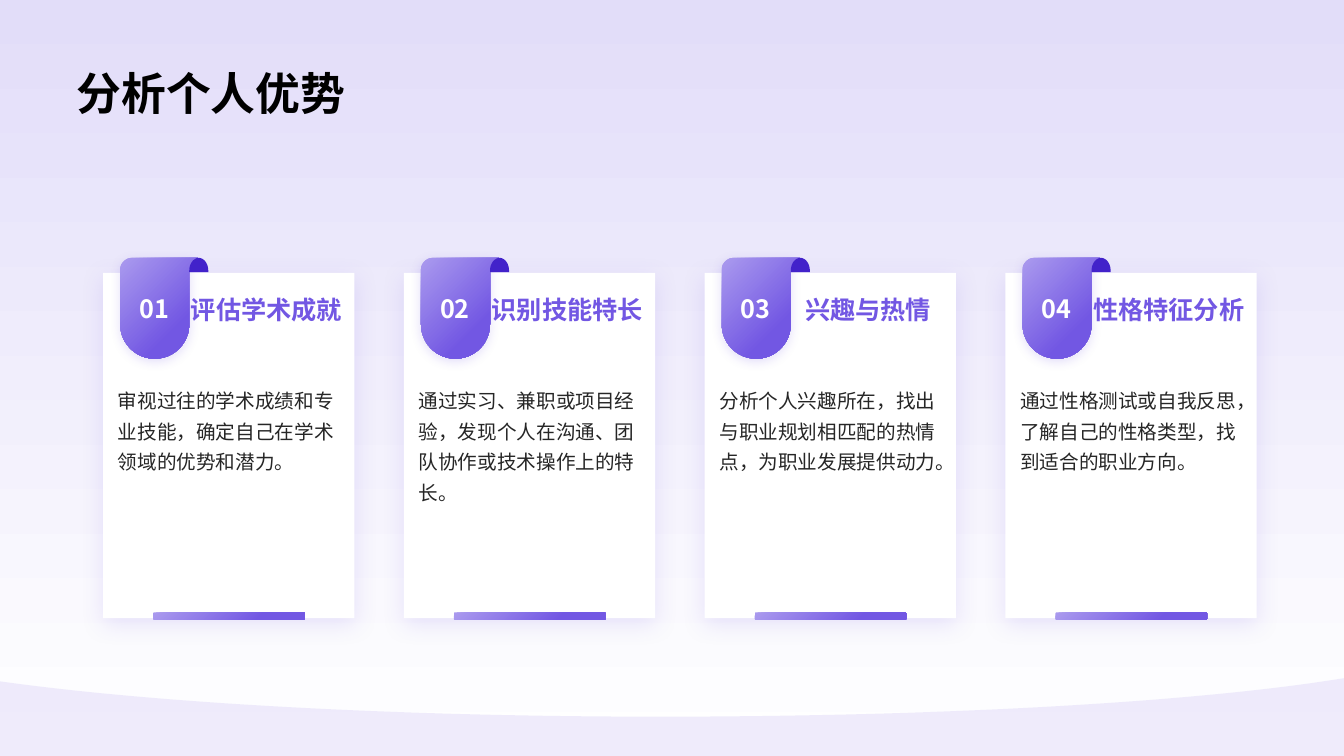
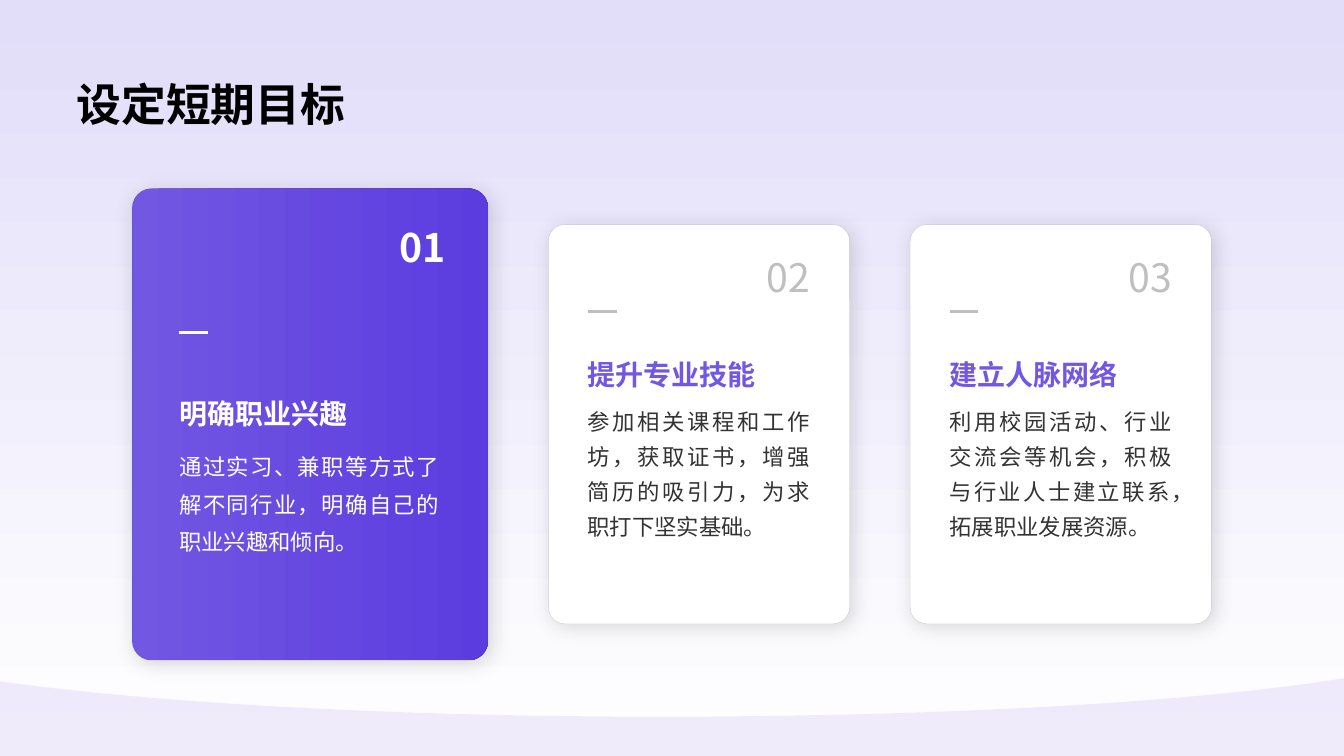
import math
from dataclasses import dataclass

from lxml import etree
from pptx import Presentation
from pptx import util as u
from pptx.dml.color import RGBColor
from pptx.enum import shapes, text
from pptx.oxml.ns import qn

Point = tuple[float, float]
Stops = tuple[tuple[str, float], tuple[str, float]]


@dataclass(frozen=True)
class Shadow:
    color: str
    opacity: int
    blur: float
    distance: float
    angle: int


@dataclass(frozen=True)
class Theme:
    font: str = "Noto Sans CJK SC"
    black: str = "000000"
    white: str = "FFFFFF"
    violet: str = "7257E3"
    curl: str = "4222CA"
    wave: str = "E3DDF9"
    gray: str = "BFBFBF"
    strength_text: str = "262626"
    goal_text: str = "333333"
    backdrop: Stops = (("FFFFFF", 0), ("E2DDF9", 1))
    ribbon: Stops = (("AA9AEE", 0), ("7257E3", 0.71))
    highlight: Stops = (("7257E3", 0), ("5B3CDF", 1))
    strength_shadow: Shadow = Shadow("7257E3", 15, 17, 4, 90)
    ribbon_shadow: Shadow = Shadow("7257E3", 20, 8, 2, 90)
    goal_shadow: Shadow = Shadow("000000", 15, 15, 3, 45)
    title_size: int = 32
    number_size: int = 28
    goal_heading_size: int = 20
    strength_heading_size: int = 18
    goal_size: int = 16
    strength_size: int = 14


@dataclass(frozen=True)
class Box:
    left: float
    top: float
    width: float
    height: float

    def lengths(self) -> tuple[u.Length, ...]:
        return tuple(u.Cm(v) for v in (self.left, self.top, self.width, self.height))


@dataclass(frozen=True)
class TextStyle:
    size: int
    color: str
    bold: bool = False
    align: text.PP_ALIGN = text.PP_ALIGN.LEFT
    anchor: text.MSO_ANCHOR = text.MSO_ANCHOR.TOP
    spacing: float | None = None
    wrap: bool = True


@dataclass(frozen=True)
class Item:
    heading: str
    body: str


@dataclass(frozen=True)
class GoalLayout:
    card: Box
    number: Box
    dash_top: float
    heading: Box
    body: Box
    spacing: float
    number_color: str
    heading_color: str
    body_color: str
    highlighted: bool = False


THEME = Theme()
WIDTH, HEIGHT = 33.87, 19.05
STRENGTH_LEFT, STRENGTH_PITCH = 2.6, 7.58
GOAL_PITCH = 9.12
DASH_LENGTH = 0.73

STRENGTHS = (
    Item("评估学术成就", "审视过往的学术成绩和专业技能，确定自己在学术领域的优势和潜力。"),
    Item("识别技能特长", "通过实习、兼职或项目经验，发现个人在沟通、团队协作或技术操作上的特长。"),
    Item("兴趣与热情", "分析个人兴趣所在，找出与职业规划相匹配的热情点，为职业发展提供动力。"),
    Item("性格特征分析", "通过性格测试或自我反思，了解自己的性格类型，找到适合的职业方向。"),
)
GOALS = (
    Item("明确职业兴趣", "通过实习、兼职等方式了解不同行业，明确自己的职业兴趣和倾向。"),
    Item("提升专业技能", "参加相关课程和工作坊，获取证书，增强简历的吸引力，为求职打下坚实基础。"),
    Item("建立人脉网络", "利用校园活动、行业交流会等机会，积极与行业人士建立联系，拓展职业发展资源。"),
)


def main_goal() -> GoalLayout:
    return GoalLayout(
        Box(3.33, 4.75, 8.97, 11.89), Box(8.97, 5.64, 2.26, 1.73), 8.38,
        Box(4.52, 8.61, 6.55, 2.24), Box(4.52, 11.15, 6.55, 4.95), 1.4,
        THEME.white, THEME.white, THEME.white, True)


def side_goal(position: int) -> GoalLayout:
    left = 13.82 + position * GOAL_PITCH
    return GoalLayout(
        Box(left, 5.66, 7.59, 10.06), Box(left + 4.34, 6.38, 2.26, 1.5), 7.85,
        Box(left + 0.99, 8.43, 5.61, 1.42), Box(left + 0.99, 10.08, 5.61, 5.23), 1.3,
        THEME.gray, THEME.violet, THEME.goal_text)


def rgb(color: str) -> RGBColor:
    return RGBColor.from_string(color)


def set_opacity(parent, percent: int) -> None:
    for color in parent.iter(qn("a:srgbClr")):
        etree.SubElement(color, qn("a:alpha"), val=str(percent * 1000))


def set_gradient(fill, stops: Stops, clockwise: int) -> None:
    fill.gradient()
    fill.gradient_angle = (360 - clockwise) % 360
    for stop, (color, position) in zip(fill.gradient_stops, stops):
        stop.color.rgb = rgb(color)
        stop.position = position


def paint(shape, fill: str | Stops, clockwise: int = 45, shadow: Shadow | None = None) -> None:
    if isinstance(fill, str):
        shape.fill.solid()
        shape.fill.fore_color.rgb = rgb(fill)
    else:
        set_gradient(shape.fill, fill, clockwise)
    shape.line.fill.background()
    shape.shadow.inherit = False
    if shadow:
        effects = shape._element.spPr.find(qn("a:effectLst"))
        outer = etree.SubElement(
            effects, qn("a:outerShdw"), blurRad=str(u.Pt(shadow.blur)),
            dist=str(u.Pt(shadow.distance)), dir=str(shadow.angle * 60000),
            algn="ctr", rotWithShape="0")
        etree.SubElement(outer, qn("a:srgbClr"), val=shadow.color)
        set_opacity(outer, shadow.opacity)


def write(shape, content: str, style: TextStyle, margins: Point = (0, 0)) -> None:
    frame = shape.text_frame
    frame.text = content
    frame.auto_size = text.MSO_AUTO_SIZE.NONE
    frame.word_wrap = style.wrap
    frame.vertical_anchor = style.anchor
    frame.margin_left, frame.margin_right = (u.Cm(margin) for margin in margins)
    frame.margin_top = frame.margin_bottom = 0
    paragraph = frame.paragraphs[0]
    paragraph.alignment = style.align
    paragraph.line_spacing = style.spacing
    for run in paragraph.runs:
        run.font.name = THEME.font
        run.font.size = u.Pt(style.size)
        run.font.bold = style.bold
        run.font.color.rgb = rgb(style.color)
        latin = run.font._element.find(qn("a:latin"))
        latin.addnext(latin.makeelement(qn("a:ea"), {"typeface": THEME.font}))


def add_text(slide, box: Box, content: str, style: TextStyle) -> None:
    write(slide.shapes.add_textbox(*box.lengths()), content, style)


def add_box(slide, kind: shapes.MSO_SHAPE, box: Box):
    return slide.shapes.add_shape(kind, *box.lengths())


def add_outline(slide, points: list[Point], left: float = 0, top: float = 0):
    placed = [(u.Cm(left + x), u.Cm(top + y)) for x, y in points]
    builder = slide.shapes.build_freeform(*placed[0], scale=1.0)
    builder.add_line_segments(placed[1:], close=True)
    return builder.convert_to_shape()


def arc(center: Point, radii: Point, start: int, end: int, steps: int = 24) -> list[Point]:
    angles = (math.radians(start + (end - start) * i / steps) for i in range(steps + 1))
    return [(center[0] + radii[0] * math.cos(a), center[1] + radii[1] * math.sin(a))
            for a in angles]


def bezier(a: Point, b: Point, c: Point, d: Point, steps: int = 40) -> list[Point]:
    points = []
    for i in range(steps + 1):
        t = i / steps
        weights = ((1 - t) ** 3, 3 * t * (1 - t) ** 2, 3 * t * t * (1 - t), t ** 3)
        points.append(tuple(sum(w * p[axis] for w, p in zip(weights, (a, b, c, d)))
                            for axis in (0, 1)))
    return points


def add_slide(presentation, title: str, top: float, height: float):
    slide = presentation.slides.add_slide(presentation.slide_layouts[5])
    shape = slide.shapes.title
    shape.left, shape.top, shape.width, shape.height = Box(1.93, top, 30, height).lengths()
    write(shape, title, TextStyle(THEME.title_size, THEME.black, True,
                                  anchor=text.MSO_ANCHOR.BOTTOM))
    return slide


def decorate_master(presentation, slide) -> None:
    master = presentation.slide_master
    set_gradient(master.background.fill, THEME.backdrop, 270)
    crest = (16.64, 18.06)
    curve = bezier((0, 17.17), (3.76, 17.7), (9.8, 18.06), crest)
    curve += bezier(crest, (23.9, 18.06), (30.28, 17.68), (WIDTH, 17.09))
    wave = add_outline(slide, curve + [(WIDTH, HEIGHT), (0, HEIGHT)])
    paint(wave, THEME.wave)
    set_opacity(wave._element.spPr.find(qn("a:solidFill")), 57)
    wave._element.nvSpPr.cNvPr.set("id", "99")
    master.shapes._spTree.insert(2, wave._element)


def add_ribbon(slide, left: float, top: float, number: str) -> None:
    band = arc((0.3, 0.3), (0.3, 0.3), 180, 270)
    band += arc((1.96, 0.3), (0.22, 0.3), 270, 180)
    band += arc((0.87, 1.67), (0.87, 0.87), 0, 180)
    ribbon = add_outline(slide, band, left, top)
    paint(ribbon, THEME.ribbon, shadow=THEME.ribbon_shadow)
    write(ribbon, number,
          TextStyle(THEME.strength_heading_size, THEME.white, True, text.PP_ALIGN.CENTER,
                    text.MSO_ANCHOR.MIDDLE, wrap=False), (0.25, 0.5))
    curl = arc((1.98, 0.32), (0.24, 0.32), 180, 360) + [(2.22, 0.36), (1.74, 0.36)]
    paint(add_outline(slide, curl, left, top), THEME.curl)


def add_strength(slide, index: int, item: Item) -> None:
    left = STRENGTH_LEFT + index * STRENGTH_PITCH
    card = add_box(slide, shapes.MSO_SHAPE.RECTANGLE, Box(left, 6.88, 6.33, 8.7))
    paint(card, THEME.white, shadow=THEME.strength_shadow)
    add_ribbon(slide, left + 0.43, 6.5, f"{index + 1:02}")
    bar = add_box(slide, shapes.MSO_SHAPE.ROUNDED_RECTANGLE, Box(left + 1.26, 15.43, 3.82, 0.19))
    paint(bar, THEME.ribbon)
    add_text(slide, Box(left + 2.17, 7.42, 3.89, 2.08), item.heading,
             TextStyle(THEME.strength_heading_size, THEME.violet, True, text.PP_ALIGN.CENTER))
    add_text(slide, Box(left + 0.37, 9.63, 5.56, 5.28), item.body,
             TextStyle(THEME.strength_size, THEME.strength_text, spacing=1.3))


def add_goal(slide, number: str, item: Item, layout: GoalLayout) -> None:
    card = add_box(slide, shapes.MSO_SHAPE.ROUNDED_RECTANGLE, layout.card)
    card.adjustments[0] = 0.055
    paint(card, THEME.highlight if layout.highlighted else THEME.white, 0, THEME.goal_shadow)
    card.line.color.rgb = rgb(THEME.black)
    card.line.width = u.Pt(0.25)
    set_opacity(card._element.spPr.find(qn("a:ln")), 15)
    add_text(slide, layout.number, number,
             TextStyle(THEME.number_size, layout.number_color, layout.highlighted,
                       text.PP_ALIGN.RIGHT, wrap=False))
    left, top = layout.heading.left, u.Cm(layout.dash_top)
    dash = slide.shapes.add_connector(
        shapes.MSO_CONNECTOR.STRAIGHT, u.Cm(left), top, u.Cm(left + DASH_LENGTH), top)
    dash.line.color.rgb = rgb(layout.number_color)
    dash.line.width = u.Pt(2.25)
    etree.SubElement(dash._element.spPr, qn("a:effectLst"))
    add_text(slide, layout.heading, item.heading,
             TextStyle(THEME.goal_heading_size, layout.heading_color, True,
                       text.PP_ALIGN.JUSTIFY, text.MSO_ANCHOR.BOTTOM))
    add_text(slide, layout.body, item.body,
             TextStyle(THEME.goal_size, layout.body_color, align=text.PP_ALIGN.JUSTIFY,
                       spacing=layout.spacing))


def main() -> None:
    presentation = Presentation()
    presentation.slide_width, presentation.slide_height = u.Cm(WIDTH), u.Cm(HEIGHT)
    strengths = add_slide(presentation, "分析个人优势", 1, 2)
    decorate_master(presentation, strengths)
    for index, item in enumerate(STRENGTHS):
        add_strength(strengths, index, item)
    goals = add_slide(presentation, "设定短期目标", 1.09, 2.21)
    layouts = (main_goal(), side_goal(0), side_goal(1))
    for index, (item, layout) in enumerate(zip(GOALS, layouts), 1):
        add_goal(goals, f"{index:02}", item, layout)
    presentation.save("out.pptx")


if __name__ == "__main__":
    main()
